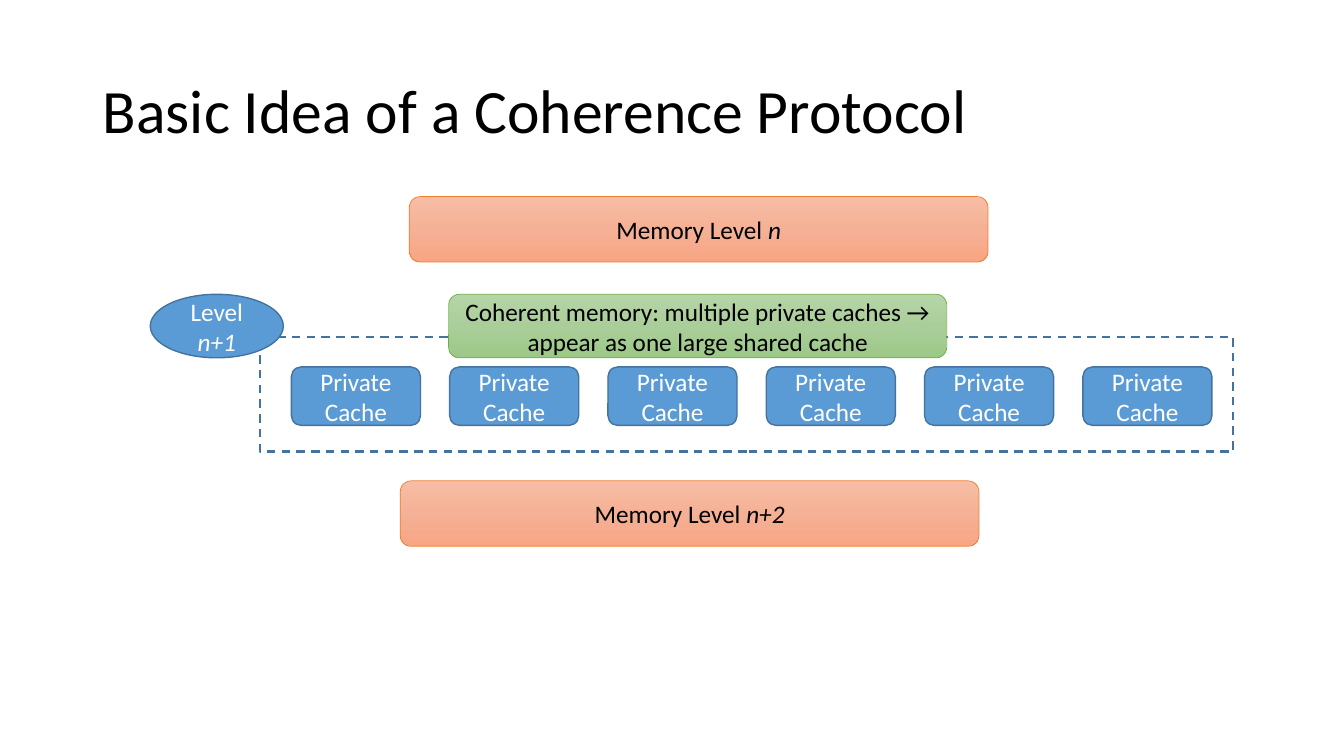
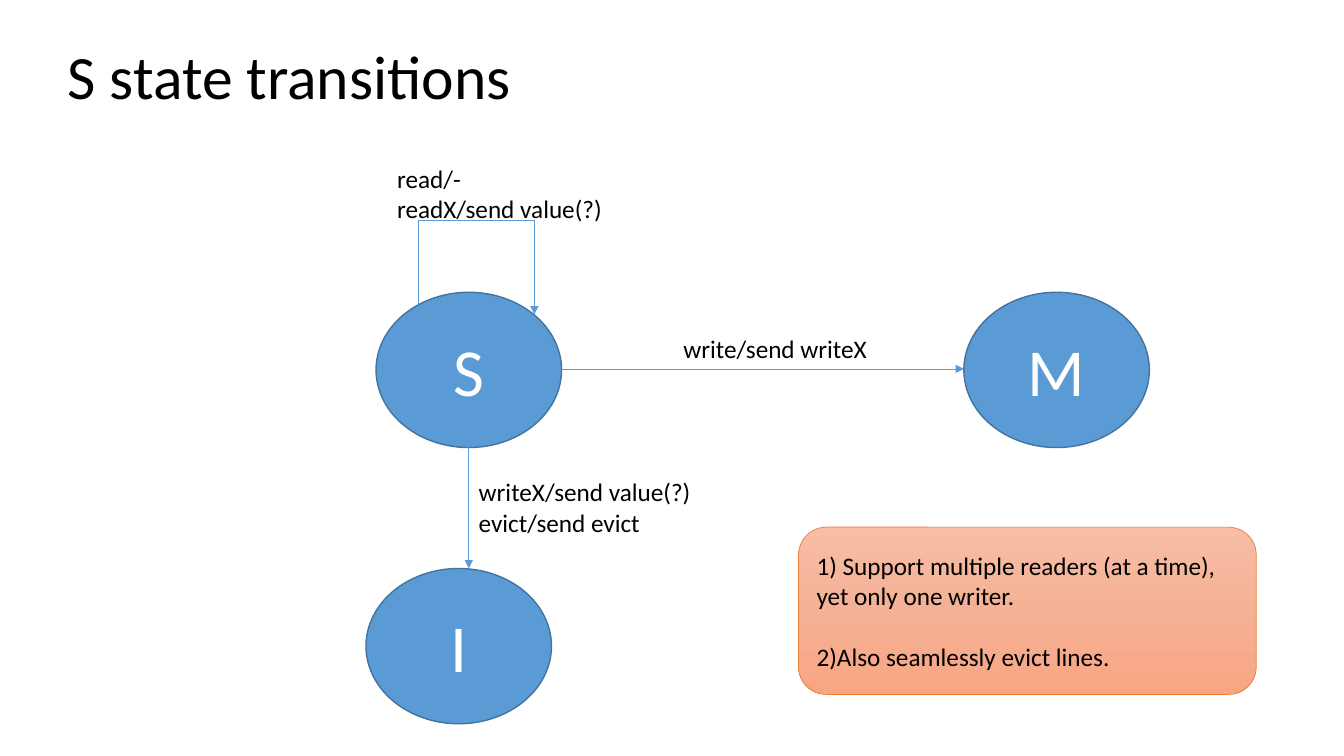
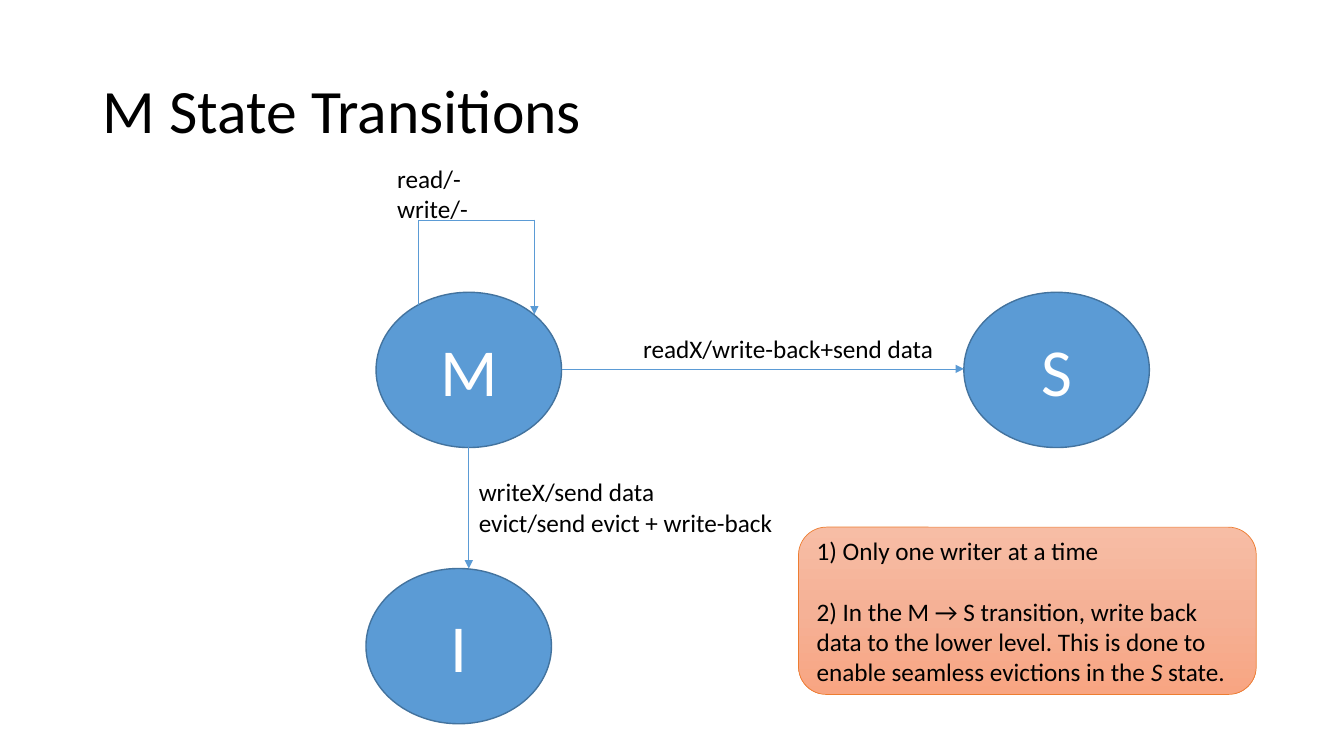
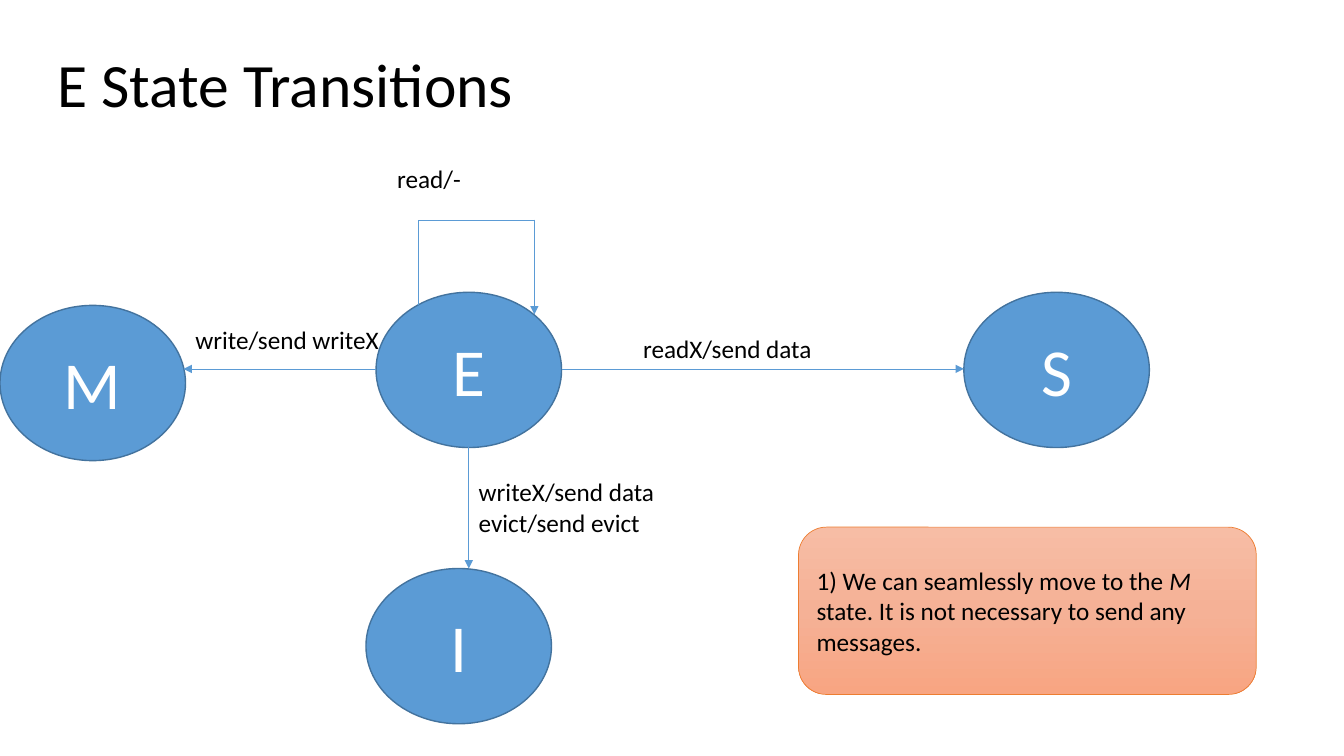
from copy import deepcopy

from lxml import etree
from pptx import Presentation
from pptx.dml.color import RGBColor
from pptx.enum.dml import MSO_LINE
from pptx.enum.shapes import MSO_CONNECTOR, MSO_SHAPE
from pptx.enum.text import MSO_ANCHOR, MSO_AUTO_SIZE, PP_ALIGN
from pptx.oxml.ns import qn
from pptx.util import Inches, Pt

BLACK = RGBColor(0x00, 0x00, 0x00)
WHITE = RGBColor(0xFF, 0xFF, 0xFF)
BLUE = RGBColor(0x5B, 0x9B, 0xD5)
DARK_BLUE = RGBColor(0x43, 0x73, 0x9E)
ORANGE = RGBColor(0xED, 0x7D, 0x31)
GREEN = RGBColor(0x70, 0xAD, 0x47)
ORANGE_SHADES = [RGBColor(0xF7, 0xBD, 0xA5), RGBColor(0xF5, 0xB1, 0x96), RGBColor(0xF8, 0xA5, 0x82)]
GREEN_SHADES = [RGBColor(0xB5, 0xD5, 0xA7), RGBColor(0xAA, 0xCE, 0x9A), RGBColor(0x9C, 0xC9, 0x87)]

SOLID_BLUE = {"shades": [BLUE], "outline": DARK_BLUE, "weight": 1, "color": WHITE}
SOFT_ORANGE = {"shades": ORANGE_SHADES, "outline": ORANGE, "weight": 0.5, "color": BLACK}
SOFT_GREEN = {"shades": GREEN_SHADES, "outline": GREEN, "weight": 0.5, "color": BLACK}
NO_FILL = {"shades": [], "outline": DARK_BLUE, "weight": 1.5, "color": BLACK}


def write_text(frame, lines, size=18, color=BLACK, align=PP_ALIGN.LEFT, gap=0):
    """Fill frame with one paragraph per line; *stars* enclose italics, gap is in points."""
    for index, line in enumerate(lines):
        paragraph = frame.paragraphs[0] if index == 0 else frame.add_paragraph()
        paragraph.alignment = align
        if index:
            paragraph.space_before = Pt(gap)
        for part_index, part in enumerate(line.split("*")):
            if not part:
                continue
            run = paragraph.add_run()
            run.text = part
            run.font.color.rgb = color
            font_format = {"name": "Calibri", "size": Pt(size), "italic": part_index % 2 == 1}
            for attribute, value in font_format.items():
                setattr(run.font, attribute, value)


def add_block(slide, kind, box, style, lines=(), **text_format):
    """Add a filled, outlined shape; several shades make a gradient from top to bottom."""
    block = slide.shapes.add_shape(kind, *map(Inches, box))
    block.shadow.inherit = False
    shades = style["shades"]
    if not shades:
        block.fill.background()
    elif len(shades) == 1:
        block.fill.solid()
        block.fill.fore_color.rgb = shades[0]
    else:
        block.fill.gradient()
        block.fill.gradient_angle = 270
        stop_list = block.fill._xPr.find(".//" + qn("a:gsLst"))
        stop_list.insert(1, deepcopy(stop_list[0]))
        for stop, shade, position in zip(block.fill.gradient_stops, shades, (0, 0.5, 1)):
            stop.color.rgb = shade
            stop.position = position
    block.line.color.rgb = style["outline"]
    block.line.width = Pt(style["weight"])
    block.text_frame.vertical_anchor = MSO_ANCHOR.MIDDLE
    write_text(block.text_frame, lines, color=style["color"],
               **{"align": PP_ALIGN.CENTER, **text_format})
    return block


presentation = Presentation()
presentation.slide_width = Inches(13.33)
presentation.slide_height = Inches(7.5)

# Titles
titles = [
    ("Basic Idea of a Coherence Protocol", 0.92, 0.4),
    ("S state transitions", 0.57, 0.06),
    ("M State Transitions", 0.92, 0.4),
    ("E State Transitions", 0.47, 0.14),
]
slides = []
for heading, left, top in titles:
    slide = presentation.slides.add_slide(presentation.slide_layouts[5])
    title = slide.shapes.title
    title_box = {"left": left, "top": top, "width": 11.5, "height": 1.45}
    for attribute, value in title_box.items():
        setattr(title, attribute, Inches(value))
    title.text_frame.vertical_anchor = MSO_ANCHOR.MIDDLE
    title.text_frame.auto_size = MSO_AUTO_SIZE.NONE
    write_text(title.text_frame, [heading], size=44)
    title.text_frame.paragraphs[0].line_spacing = 0.9
    slides.append(slide)

# Memory hierarchy
hierarchy, *state_slides = slides
for left, top, level in [(4.06, 1.95, "n"), (3.97, 4.77, "n+2")]:
    add_block(hierarchy, MSO_SHAPE.ROUNDED_RECTANGLE, (left, top, 5.74, 0.65),
              SOFT_ORANGE, [f"Memory Level *{level}*"])
for column in range(6):
    add_block(hierarchy, MSO_SHAPE.ROUNDED_RECTANGLE, (2.89 + 1.57 * column, 3.64, 1.28, 0.58),
              SOLID_BLUE, ["Private Cache"])
cache_group = add_block(hierarchy, MSO_SHAPE.RECTANGLE, (2.58, 3.34, 9.65, 1.14), NO_FILL)
cache_group.line.dash_style = MSO_LINE.DASH
add_block(hierarchy, MSO_SHAPE.ROUNDED_RECTANGLE, (4.45, 2.92, 4.94, 0.63), SOFT_GREEN,
          ["Coherent memory: multiple private caches → appear as one large shared cache"])
add_block(hierarchy, MSO_SHAPE.OVAL, (1.49, 2.92, 1.32, 0.63), SOLID_BLUE, ["Level *n+1*"])

# State diagrams: states are (name, left, top), labels are (left, top, width, lines)
CENTER, RIGHT, BELOW, LEFT = (3.73, 2.9), (9.56, 2.9), (3.63, 5.64), (0, 3.03)
ARROWS = [  # start x, start y, end x, end y, has arrowhead
    (4.15, 3.03, 4.15, 2.18, False),
    (4.15, 2.19, 5.3, 2.19, False),
    (5.3, 2.18, 5.3, 3.12, True),
    (5.57, 3.66, 9.56, 3.66, True),
    (4.65, 4.43, 4.65, 5.64, True),
]
LEFT_ARROW = (3.73, 3.66, 1.82, 3.66, True)
diagrams = [
    {
        "states": [("S", *CENTER), ("M", *RIGHT), ("I", *BELOW)],
        "arrows": ARROWS,
        "labels": [
            (3.84, 1.57, 2.26, ["read/-", "readX/send value(?)"]),
            (6.68, 3.26, 2.04, ["write/send writeX"]),
            (4.65, 4.68, 2.33, ["writeX/send value(?)", "evict/send evict"]),
        ],
        "remarks": ["1) Support multiple readers (at a time), yet only one writer.",
                    "2)Also seamlessly evict lines."],
    },
    {
        "states": [("M", *CENTER), ("S", *RIGHT), ("I", *BELOW)],
        "arrows": ARROWS,
        "labels": [
            (3.84, 1.57, 0.91, ["read/-", "write/-"]),
            (6.28, 3.26, 3.11, ["readX/write-back+send data"]),
            (4.65, 4.68, 3.15, ["writeX/send data", "evict/send evict + write-back"]),
        ],
        "remarks": ["1) Only one writer at a time",
                    "2) In the M → S transition, write back data to the lower level. "
                    "This is done to enable seamless evictions in the *S* state."],
    },
    {
        "states": [("E", *CENTER), ("S", *RIGHT), ("I", *BELOW), ("M", *LEFT)],
        "arrows": ARROWS + [LEFT_ARROW],
        "labels": [
            (3.84, 1.57, 0.84, ["read/-"]),
            (6.28, 3.26, 1.89, ["readX/send data"]),
            (4.65, 4.68, 1.96, ["writeX/send data", "evict/send evict"]),
            (1.84, 3.17, 2.04, ["write/send writeX"]),
        ],
        "remarks": ["1) We can seamlessly move to the *M* state. "
                    "It is not necessary to send any messages."],
    },
]
for slide, diagram in zip(state_slides, diagrams):
    for state, left, top in diagram["states"]:
        add_block(slide, MSO_SHAPE.OVAL, (left, top, 1.84, 1.54), SOLID_BLUE, [state], size=48)
    for *ends, has_head in diagram["arrows"]:
        arrow = slide.shapes.add_connector(MSO_CONNECTOR.STRAIGHT, *map(Inches, ends))
        arrow.line.color.rgb = BLUE
        arrow.line.width = Pt(0.5)
        if has_head:
            etree.SubElement(arrow.line._get_or_add_ln(), qn("a:tailEnd"), type="triangle")
        etree.SubElement(arrow._element.spPr, qn("a:effectLst"))
    for left, top, width, lines in diagram["labels"]:
        height = 0.1 + 0.3 * len(lines)
        label = slide.shapes.add_textbox(*map(Inches, (left, top, width, height)))
        label.text_frame.word_wrap = False
        label.text_frame.auto_size = MSO_AUTO_SIZE.SHAPE_TO_FIT_TEXT
        write_text(label.text_frame, lines)
    add_block(slide, MSO_SHAPE.ROUNDED_RECTANGLE, (7.92, 5.23, 4.54, 1.66), SOFT_ORANGE,
              diagram["remarks"], align=PP_ALIGN.LEFT, gap=22)

presentation.save("out.pptx")
